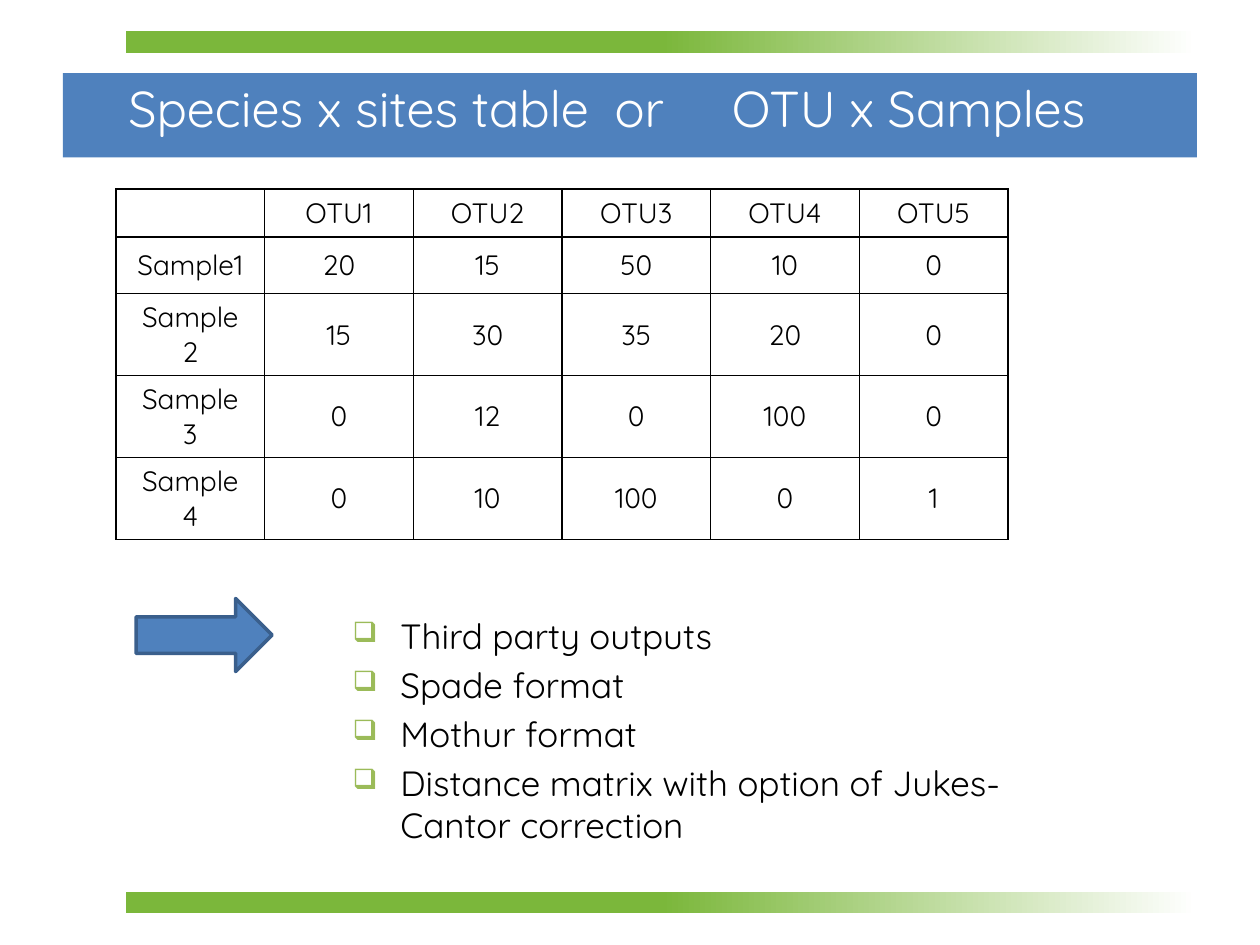
from dataclasses import dataclass

from lxml import etree
from pptx import Presentation, util as u
from pptx.dml.color import RGBColor
from pptx.enum import shapes, text
from pptx.oxml import ns

WIDE, HIGH = 10, 7.5
FONT = "Quicksand"
HUES = {"blue": "4F81BD", "edge": "3A5F8C", "green": "7BB73B",
        "mark": "9BBB59", "ink": "000000", "white": "FFFFFF"}
TITLE = "Species x sites table\tor\tOTU x Samples"
STOPS = (3.86, 4.79)
COUNTS = [
    ["", "OTU1", "OTU2", "OTU3", "OTU4", "OTU5"],
    ["Sample1", 20, 15, 50, 10, 0],
    ["Sample2", 15, 30, 35, 20, 0],
    ["Sample3", 0, 12, 0, 100, 0],
    ["Sample4", 0, 10, 100, 0, 1],
]
ROWS = (0.38, 0.45, 0.65, 0.65, 0.65)
ITEMS = ["Third party outputs", "Spade format", "Mothur format",
         "Distance matrix with option of Jukes-Cantor correction"]


@dataclass
class Box:
    """A frame given as shares of the slide's width and height."""
    left: float
    top: float
    wide: float
    high: float

    def frame(self) -> list:
        sides = (self.left * WIDE, self.top * HIGH,
                 self.wide * WIDE, self.high * HIGH)
        return [u.Inches(side) for side in sides]


BAND = Box(0.05, 0.58 / HIGH, 0.9, 0.67 / HIGH)
BARS = [Box(0.1, top / HIGH, 0.85, 0.17 / HIGH) for top in (0.25, 7.08)]
HEAD = Box(0.092, 0.52 / HIGH, 0.858, 0.67 / HIGH)
GRID = Box(0.092, 0.2, 0.708, sum(ROWS) / HIGH)
LIST = Box(0.208, 4.83 / HIGH, 0.675, 1.99 / HIGH)
ARROW = Box(0.133, 0.6, 0.058, 1.08 / HIGH)


def hue(name: str) -> RGBColor:
    return RGBColor.from_string(HUES[name])


def sub(root, tag: str, **attrs):
    """Add a DrawingML child element."""
    return etree.SubElement(root, ns.qn("a:" + tag), attrs)


def style(par, size: float, name: str) -> None:
    for run in par.runs:
        run.font.size = u.Pt(size)
        run.font.name = FONT
        run.font.color.rgb = hue(name)


def draw(slide, kind, box: Box, fill: str = "blue"):
    """Add a flat preset shape without outline."""
    shape = slide.shapes.add_shape(kind, *box.frame())
    shape.shadow.inherit = False
    shape.fill.solid()
    shape.fill.fore_color.rgb = hue(fill)
    shape.line.fill.background()
    return shape


def fade(shape) -> None:
    """Let the right half run from green to white."""
    shape.fill.gradient()
    shape.fill.gradient_angle = 0
    for stop, place, name in zip(shape.fill.gradient_stops,
                                 (0.5, 1), ("green", "white")):
        stop.position = place
        stop.color.rgb = hue(name)


def head(slide) -> None:
    frame = slide.shapes.add_textbox(*HEAD.frame()).text_frame
    frame.word_wrap = True
    frame.vertical_anchor = text.MSO_ANCHOR.MIDDLE
    par = frame.paragraphs[0]
    par.text = TITLE
    tabs = sub(par._p.get_or_add_pPr(), "tabLst")
    for stop in STOPS:
        sub(tabs, "tab", pos=str(u.Inches(stop)), algn="l")
    style(par, 28.8, "white")


def rule(cell) -> None:
    """Draw the four borders of a cell."""
    props = cell._tc.get_or_add_tcPr()
    for spot, tag in enumerate(("lnL", "lnR", "lnT", "lnB")):
        line = sub(props, tag, w=str(u.Pt(1)))
        sub(sub(line, "solidFill"), "srgbClr", val=HUES["ink"])
        props.insert(spot, line)


def grid(slide) -> None:
    table = slide.shapes.add_table(
        len(ROWS), len(COUNTS[0]), *GRID.frame()).table
    table.first_row = table.horz_banding = False
    for row, high in zip(table.rows, ROWS):
        row.height = u.Inches(high)
    for row, line in zip(table.rows, COUNTS):
        for cell, value in zip(row.cells, line):
            cell.text = str(value)
            cell.fill.background()
            rule(cell)
            cell.vertical_anchor = text.MSO_ANCHOR.MIDDLE
            cell.margin_left = cell.margin_right = u.Inches(0.15)
            pad = 0.05 if cell.text else 0
            cell.margin_top = cell.margin_bottom = u.Inches(pad)
            par = cell.text_frame.paragraphs[0]
            par.alignment = text.PP_ALIGN.CENTER
            style(par, 16, "ink")


def bullet(par) -> None:
    props = par._p.get_or_add_pPr()
    props.set("marL", str(u.Inches(1)))
    props.set("indent", str(u.Inches(-0.38)))
    sub(sub(props, "buClr"), "srgbClr", val=HUES["mark"])
    sub(props, "buSzPct", val="80000")
    sub(props, "buChar", char="❑")


def points(slide) -> None:
    frame = slide.shapes.add_textbox(*LIST.frame()).text_frame
    frame.word_wrap = True
    frame.text = "\n".join(ITEMS)
    for spot, par in enumerate(frame.paragraphs):
        par.level = 2
        bullet(par)
        par.space_before = u.Pt(4 if spot else 0)
        style(par, 20, "ink")


def main() -> None:
    deck = Presentation()
    deck.slide_width, deck.slide_height = u.Inches(WIDE), u.Inches(HIGH)
    slide = deck.slides.add_slide(deck.slide_layouts[6])
    kinds = shapes.MSO_SHAPE
    draw(slide, kinds.RECTANGLE, BAND)
    for bar in BARS:
        fade(draw(slide, kinds.RECTANGLE, bar, "green"))
    head(slide)
    grid(slide)
    points(slide)
    arrow = draw(slide, kinds.DOWN_ARROW, ARROW)
    arrow.rotation = 270
    arrow.line.color.rgb = hue("edge")
    arrow.line.width = u.Pt(2)
    deck.save("out.pptx")


if __name__ == "__main__":
    main()
